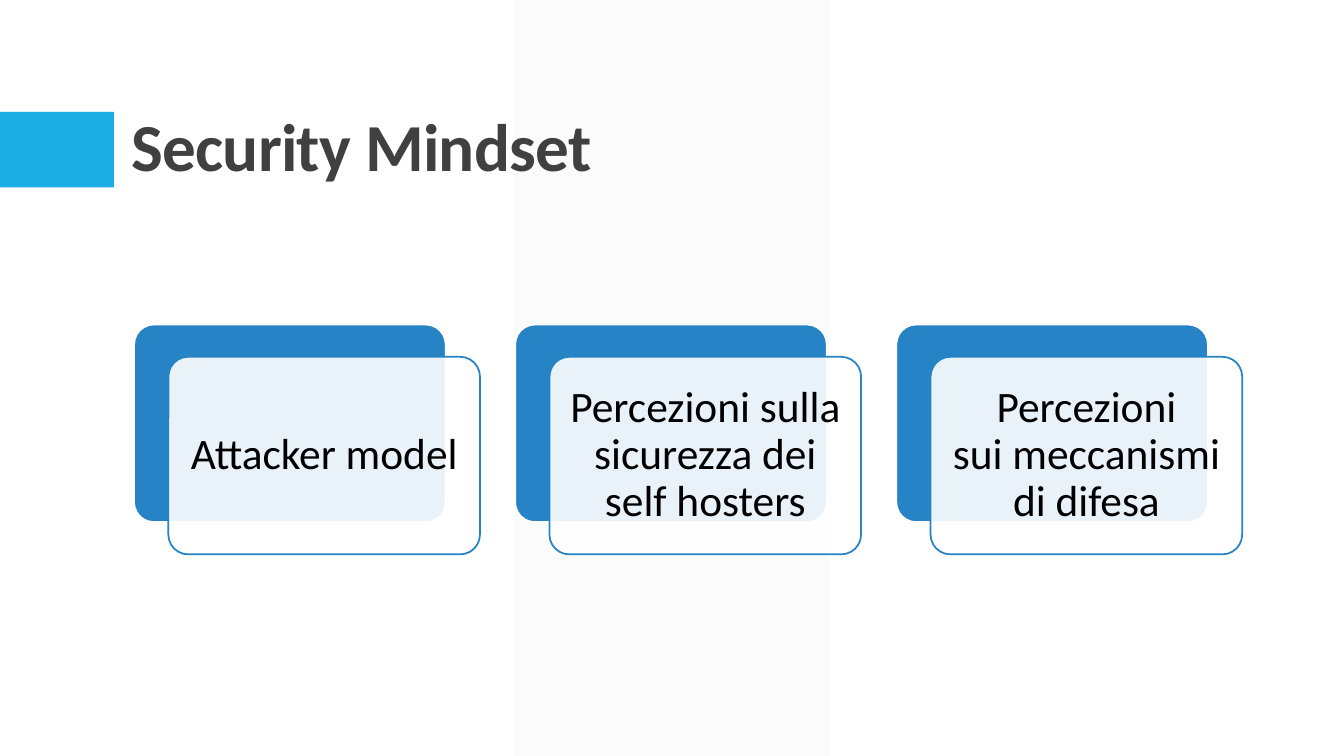
"""Build the Security Mindset slide with three layered cards."""
from dataclasses import dataclass

from lxml.etree import SubElement
from pptx import Presentation
from pptx.dml.color import RGBColor
from pptx.enum.shapes import MSO_SHAPE
from pptx.enum.text import MSO_ANCHOR, PP_ALIGN
from pptx.oxml.ns import qn
from pptx.util import Inches, Pt

TITLE = "Security Mindset"
CARDS = [
    "Attacker model",
    "Percezioni sulla sicurezza dei self hosters",
    "Percezioni sui\u00a0meccanismi di difesa",
]


@dataclass(frozen=True)
class Theme:
    font: str = "Calibri"
    title_size: int = 48
    card_size: int = 31
    line_width: float = 1.25
    title: str = "404040"
    text: str = "000000"
    accent: str = "1CADE4"
    card: str = "2683C6"
    paper: str = "FFFFFF"
    band: str = "F2F2F2"


THEME = Theme()
WIDTH, HEIGHT = 13.33, 7.5
CARD_LEFT, CARD_TOP, CARD_PITCH = 1.33, 3.22, 3.78
CARD_SIZE = (3.09, 1.96)
SHIFT_X, SHIFT_Y = 0.34, 0.32
CARD_INSET = 0.13


def add_box(page, kind, left, top, size, fill, line=None, opacity=100):
    box = page.shapes.add_shape(kind, *map(Inches, (left, top, *size)))
    box.shadow.inherit = False
    box.fill.solid()
    box.fill.fore_color.rgb = RGBColor.from_string(fill)
    if opacity < 100:
        color = box.element.spPr.find(qn("a:solidFill")).find(qn("a:srgbClr"))
        SubElement(color, qn("a:alpha"), val=str(opacity * 1000))
    if line:
        box.line.color.rgb = RGBColor.from_string(line)
        box.line.width = Pt(THEME.line_width)
    else:
        box.line.fill.background()
    if kind == MSO_SHAPE.ROUNDED_RECTANGLE:
        box.adjustments[0] = 0.1
    return box


def write(box, text, size, color, align, anchor, bold=False):
    frame = box.text_frame
    frame.word_wrap = True
    frame.vertical_anchor = anchor
    para = frame.paragraphs[0]
    para.text = text
    para.alignment = align
    para.line_spacing = 0.9
    para.font.name = THEME.font
    para.font.size = Pt(size)
    para.font.bold = bold
    para.font.color.rgb = RGBColor.from_string(color)
    return para


def add_card(page, column, text):
    left = CARD_LEFT + column * CARD_PITCH
    kind = MSO_SHAPE.ROUNDED_RECTANGLE
    add_box(page, kind, left, CARD_TOP, CARD_SIZE, THEME.card, THEME.paper)
    front = add_box(page, kind, left + SHIFT_X, CARD_TOP + SHIFT_Y, CARD_SIZE,
                    THEME.paper, THEME.card, opacity=90)
    frame = front.text_frame
    frame.margin_left = frame.margin_right = Inches(CARD_INSET)
    frame.margin_top = frame.margin_bottom = Inches(CARD_INSET)
    write(front, text, THEME.card_size, THEME.text, PP_ALIGN.CENTER, MSO_ANCHOR.MIDDLE)


def add_title(page):
    title = page.shapes.title
    title.left, title.top, title.width, title.height = map(Inches, (1.2, 0.31, 11, 1.59))
    para = write(title, TITLE, THEME.title_size, THEME.title,
                 PP_ALIGN.LEFT, MSO_ANCHOR.BOTTOM, bold=True)
    for span in para.runs:
        span._r.get_or_add_rPr().set("spc", "-50")


deck = Presentation()
deck.slide_width, deck.slide_height = Inches(WIDTH), Inches(HEIGHT)
page = deck.slides.add_slide(deck.slide_layouts[5])
band = add_box(page, MSO_SHAPE.PARALLELOGRAM, 5.1, 0, (3.12, HEIGHT), THEME.band, opacity=30)
band.adjustments[0] = 0
add_box(page, MSO_SHAPE.RECTANGLE, 0, 1.11, (1.13, 0.75), THEME.accent)
add_title(page)
page.shapes.title.element.getparent().append(page.shapes.title.element)
for column, text in enumerate(CARDS):
    add_card(page, column, text)
deck.save("out.pptx")
